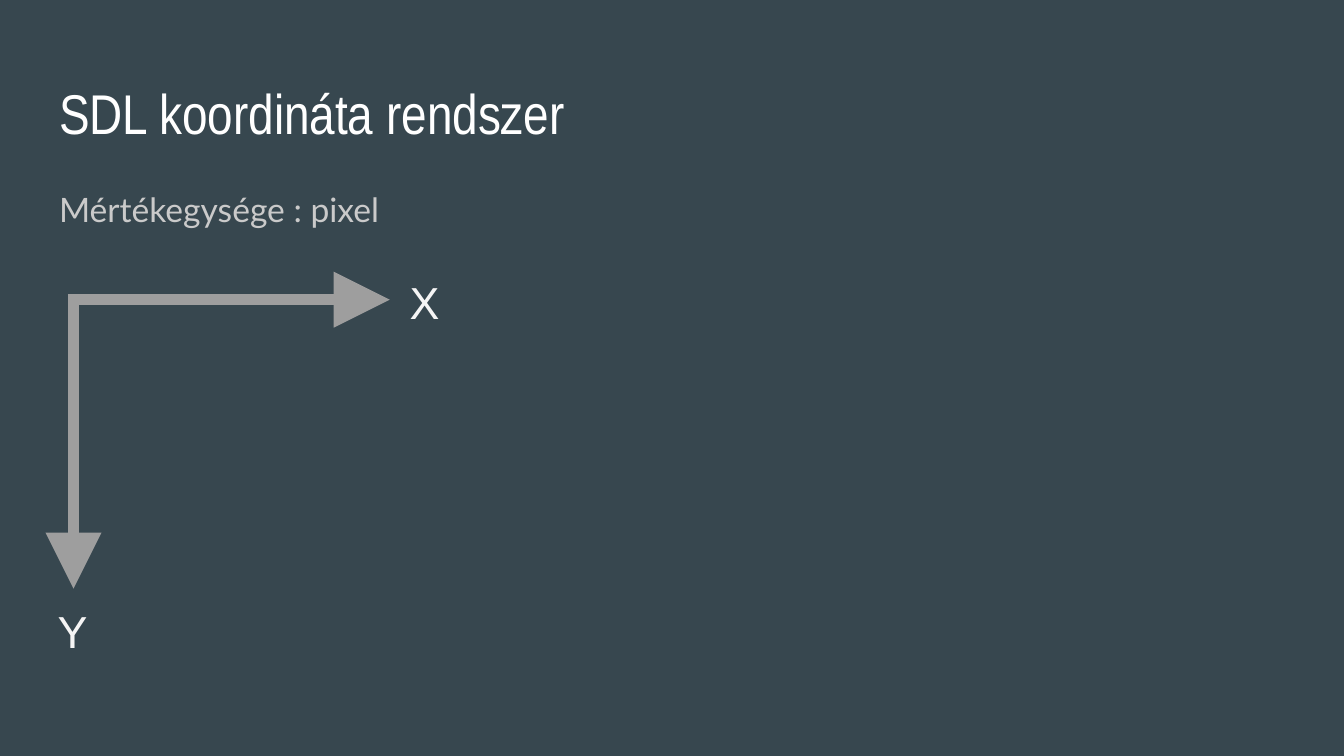
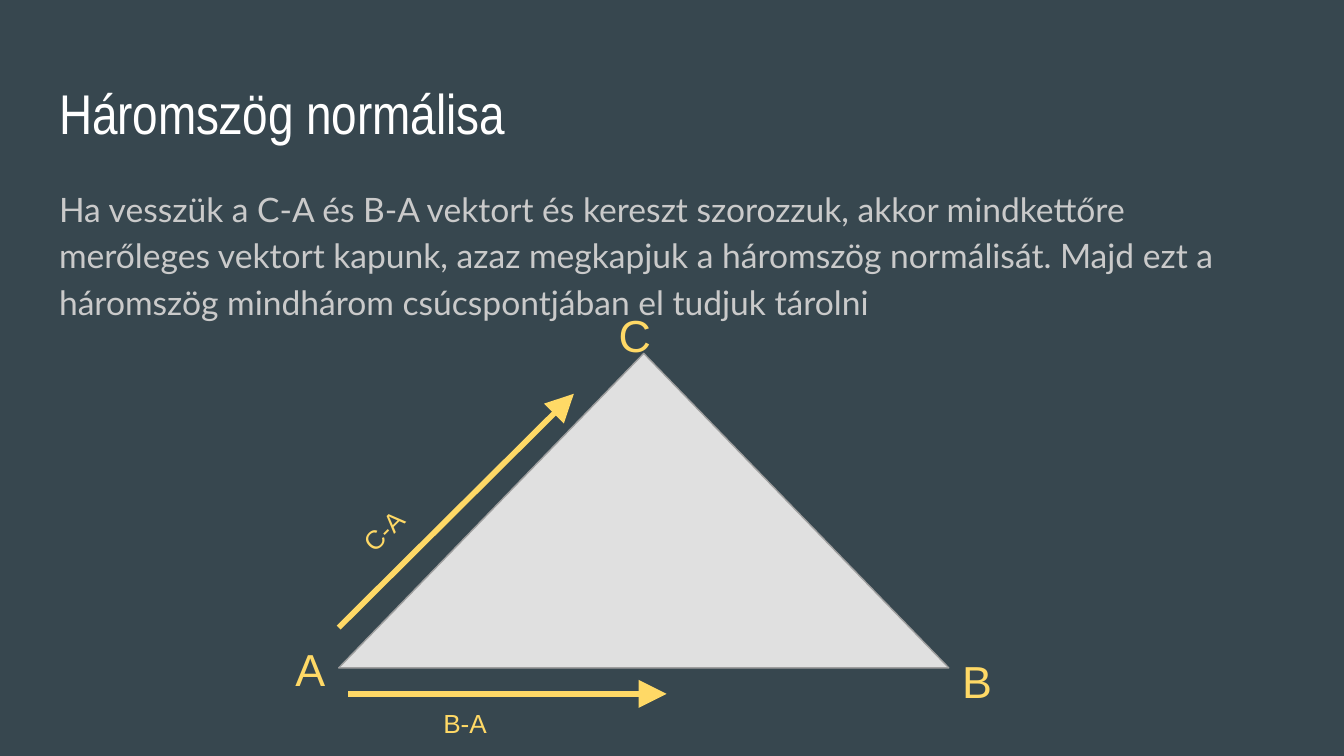
from dataclasses import dataclass

from lxml.etree import SubElement
from pptx import Presentation
from pptx.dml.color import RGBColor
from pptx.enum.shapes import MSO_CONNECTOR, MSO_SHAPE
from pptx.enum.text import MSO_ANCHOR, PP_ALIGN
from pptx.oxml.ns import qn
from pptx.util import Inches, Pt


@dataclass(frozen=True)
class Theme:
    background: str = "37474F"
    title: str = "FFFFFF"
    body: str = "CACACA"
    axis: str = "9E9E9E"
    axis_label: str = "F5F5F5"
    surface: str = "E0E0E0"
    vector: str = "FFD966"
    title_font: str = "Arial Narrow"
    body_font: str = "Lato"
    label_font: str = "Arial"
    title_size: int = 30
    label_size: int = 24
    body_size: int = 18
    small_size: int = 14
    axis_width: float = 6
    vector_width: float = 3
    outline_width: float = 0.75


THEME = Theme()
WIDTH, HEIGHT = Inches(10), Inches(5.625)
COLUMNS, ROWS = 100, 56.25


@dataclass(frozen=True)
class Box:
    left: float
    top: float
    width: float
    height: float

    def inner(self, left, top, width, height):
        return Box(self.left + left, self.top + top, width, height)

    def point(self, column, row):
        return to_length(self.left + column, self.top + row)

    def frame(self):
        return self.point(0, 0) + to_length(self.width, self.height)


TITLE_BOX = Box(3.41, 4.87, 92.8, 6.3)
BODY_BOX = Box(3.41, 12.6, 92.8, 37.4)
AXES_BOX = Box(5, 22.1, 24, 21.7)
TRIANGLE_BOX = Box(25.2, 26.3, 45.4, 23.4)


def to_length(columns, rows):
    return round(columns * WIDTH / COLUMNS), round(rows * HEIGHT / ROWS)


def set_all(target, values):
    for name, value in values.items():
        setattr(target, name, value)


def add_text(page, box, text, font, size, color, paragraph_format=None, rotation=0):
    shape = page.shapes.add_textbox(*box.frame())
    shape.rotation = rotation
    frame = shape.text_frame
    margins = {f"margin_{side}": Inches(0.1) for side in ("left", "top", "right", "bottom")}
    set_all(frame, {"word_wrap": True, "vertical_anchor": MSO_ANCHOR.TOP, **margins})
    para = frame.paragraphs[0]
    set_all(para, {"alignment": PP_ALIGN.LEFT, **(paragraph_format or {})})
    span = para.add_run()
    span.text = text
    set_all(span.font, {"name": font, "size": Pt(size)})
    span.font.color.rgb = RGBColor.from_string(color)


def add_label(page, box, text, size, color, rotation=0):
    add_text(page, box, text, THEME.label_font, size, color, rotation=rotation)


def set_line(line, color, width):
    line.color.rgb = RGBColor.from_string(color)
    line.width = Pt(width)


def add_arrow(page, box, start, end, color, width):
    arrow = page.shapes.add_connector(
        MSO_CONNECTOR.STRAIGHT, *box.point(*start), *box.point(*end)
    )
    set_line(arrow.line, color, width)
    properties = arrow._element.spPr
    SubElement(properties.find(qn("a:ln")), qn("a:tailEnd"),
               type="triangle", w="lg", len="lg")
    SubElement(properties, qn("a:effectLst"))


def add_page(deck, title, body, body_format):
    page = deck.slides.add_slide(deck.slide_layouts[6])
    add_text(page, TITLE_BOX, title, THEME.title_font, THEME.title_size, THEME.title)
    add_text(page, BODY_BOX, body, THEME.body_font, THEME.body_size, THEME.body,
             {"line_spacing": 1.15, **body_format})
    return page


def draw_axes(page, box):
    axes = [
        ("X", (0.05, 0.2), (box.width, 0.2), (24.5, -2.7)),
        ("Y", (0.47, -0.2), (0.47, box.height), (-1.7, 21.8)),
    ]
    for name, start, end, corner in axes:
        add_arrow(page, box, start, end, THEME.axis, THEME.axis_width)
        add_label(page, box.inner(*corner, 4.9, 4.9), name,
                  THEME.label_size, THEME.axis_label)


def draw_triangle(page, box):
    triangle = page.shapes.add_shape(MSO_SHAPE.ISOSCELES_TRIANGLE, *box.frame())
    triangle.shadow.inherit = False
    triangle.fill.solid()
    triangle.fill.fore_color.rgb = RGBColor.from_string(THEME.surface)
    set_line(triangle.line, THEME.axis, THEME.outline_width)

    corners = {"A": (-4.2, 20.45), "B": (box.width, 21.35), "C": (19.85, -4.4)}
    for name, corner in corners.items():
        add_label(page, box.inner(*corner, 5.7, 3.8), name,
                  THEME.label_size, THEME.vector)

    vectors = [
        ("B-A", (0.7, 25.33), (24.4, 25.33), (6.8, 25.3, 8.6, 3.8), 0),
        ("C-A", (0, 20.4), (17.5, 3), (-0.35, 9.3, 10.5, 3.6), 315.2),
    ]
    for name, start, end, place, rotation in vectors:
        add_arrow(page, box, start, end, THEME.vector, THEME.vector_width)
        add_label(page, box.inner(*place), name,
                  THEME.small_size, THEME.vector, rotation)


def main():
    deck = Presentation()
    set_all(deck, {"slide_width": WIDTH, "slide_height": HEIGHT})
    backdrop = deck.slide_master.background.fill
    backdrop.solid()
    backdrop.fore_color.rgb = RGBColor.from_string(THEME.background)

    page = add_page(deck, "SDL koordináta rendszer", "Mértékegysége : pixel", {})
    draw_axes(page, AXES_BOX)

    page = add_page(
        deck,
        "Háromszög normálisa",
        "Ha vesszük a C-A és B-A vektort és kereszt szorozzuk, akkor mindkettőre "
        "merőleges vektort kapunk, azaz megkapjuk a háromszög normálisát. Majd ezt a "
        "háromszög mindhárom csúcspontjában el tudjuk tárolni",
        {"space_after": Pt(16)},
    )
    draw_triangle(page, TRIANGLE_BOX)
    deck.save("out.pptx")


if __name__ == "__main__":
    main()
